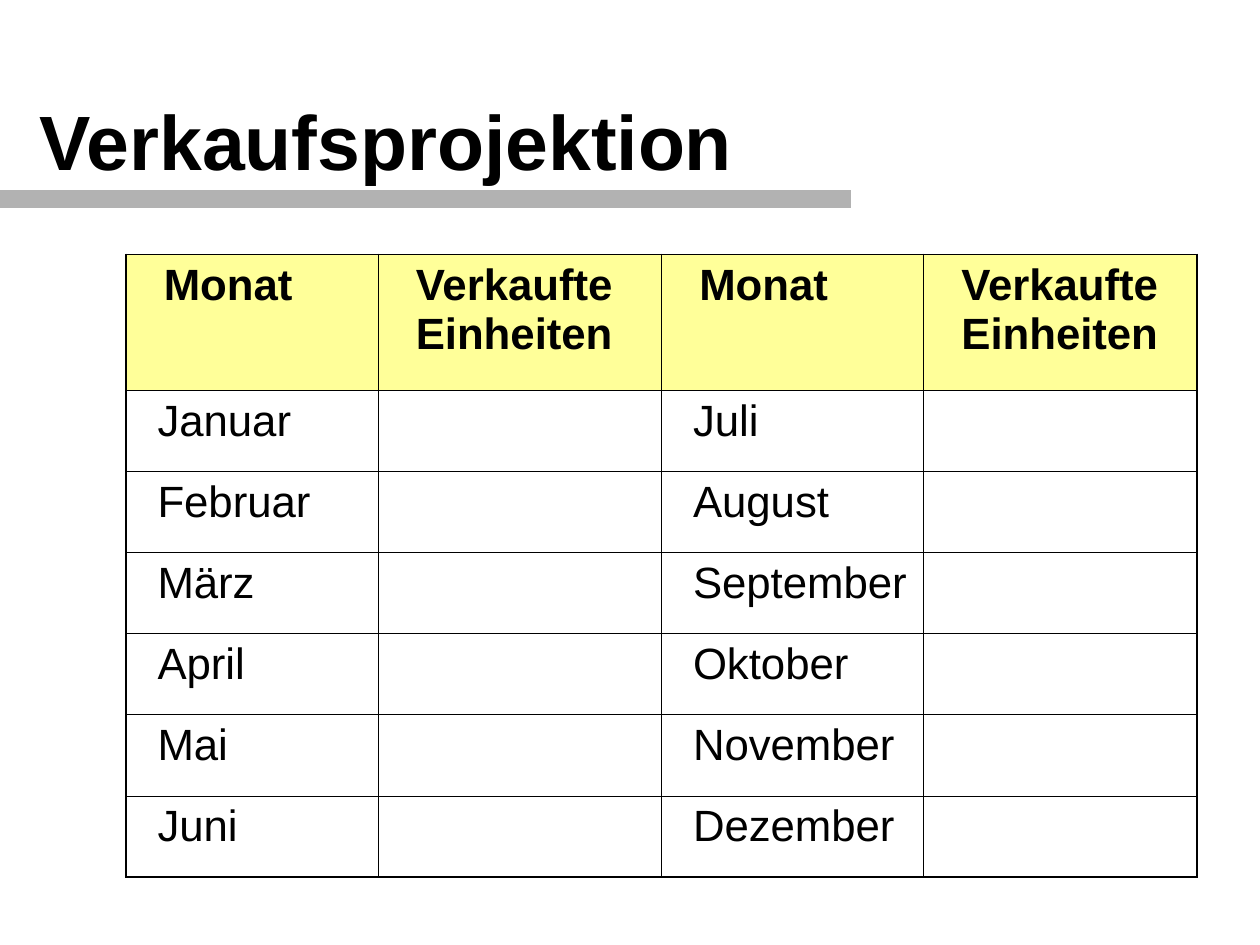
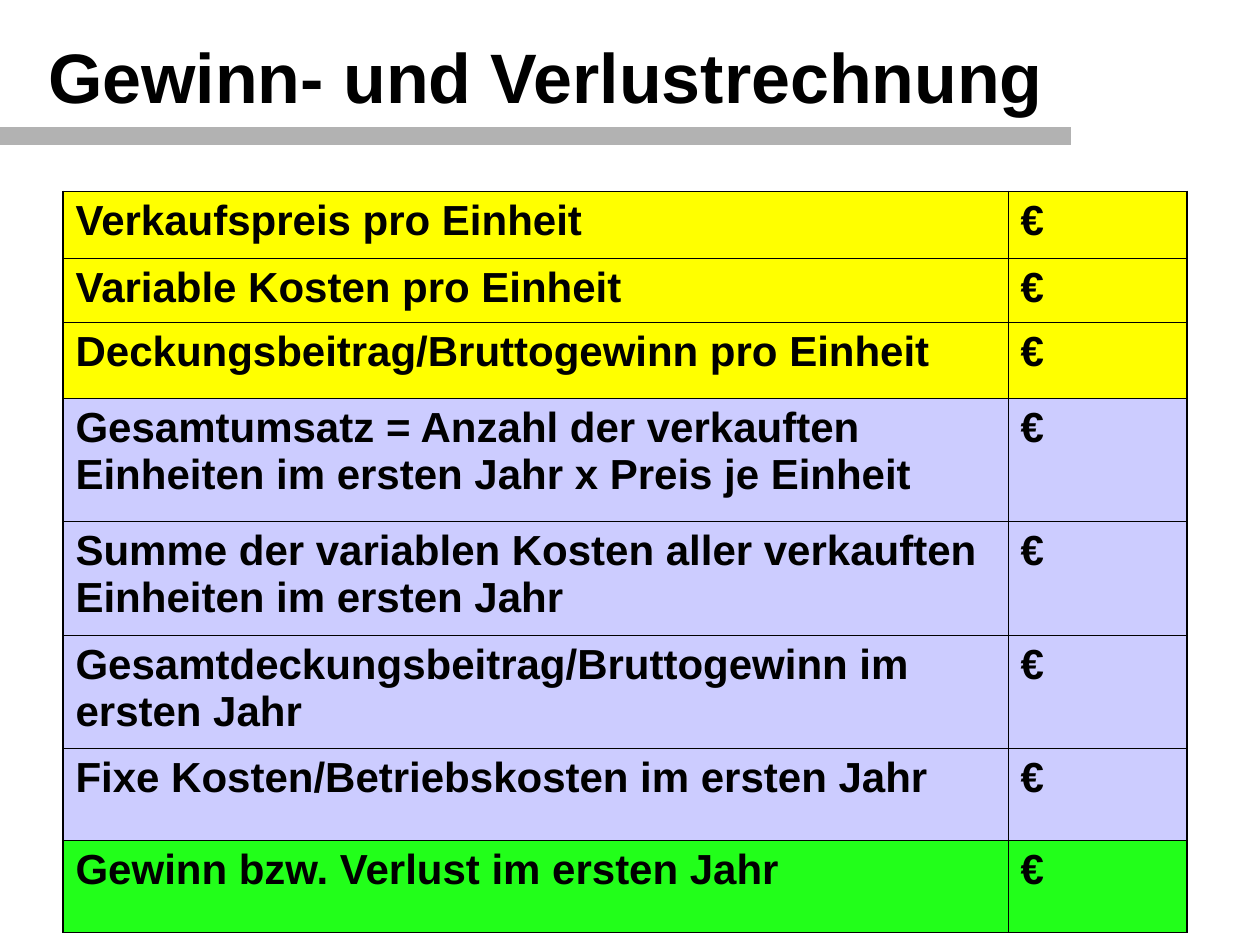
"""Builds the sales projection and the profit and loss slides."""
from dataclasses import dataclass
from typing import Optional

from lxml.etree import SubElement
from pptx import Presentation
from pptx.dml.color import RGBColor
from pptx.enum.shapes import MSO_CONNECTOR
from pptx.enum.text import MSO_ANCHOR, PP_ALIGN
from pptx.oxml.ns import qn
from pptx.util import Inches, Pt

FONT = "Arial"
BLACK = RGBColor(0x00, 0x00, 0x00)
GREY = RGBColor(0xB2, 0xB2, 0xB2)
CREAM = RGBColor(0xFF, 0xFF, 0x99)
YELLOW = RGBColor(0xFF, 0xFF, 0x00)
LILAC = RGBColor(0xCC, 0xCC, 0xFF)
GREEN = RGBColor(0x22, 0xFF, 0x1A)
OUTER, INNER = Pt(1.08), Pt(0.45)

MONTHS = ["Januar", "Februar", "März", "April", "Mai", "Juni",
          "Juli", "August", "September", "Oktober", "November", "Dezember"]


@dataclass
class Title:
    text: str
    left: float
    top: float
    height: float
    size: int
    rule_y: float
    rule_end: float
    space_size: Optional[int] = None


@dataclass
class Row:
    texts: list[str]
    height: float
    fill: Optional[RGBColor] = None
    bold: bool = True
    indent: float = 0.1


@dataclass
class Grid:
    left: float
    top: float
    widths: list[float]
    size: int
    rows: list[Row]


def add_run(p, text: str, size: int, bold: bool = True) -> None:
    """Append a black run to a paragraph."""
    r = p.add_run()
    r.text = text
    formats = {"name": FONT, "size": Pt(size), "bold": bold}
    for name, value in formats.items():
        setattr(r.font, name, value)
    r.font.color.rgb = BLACK


def add_title(s, title: Title) -> None:
    """Draw the centred heading and the grey rule below it."""
    box = s.shapes.add_textbox(Inches(title.left), Inches(title.top),
                               Inches(8.5), Inches(title.height))
    tf = box.text_frame
    formats = {"word_wrap": True, "vertical_anchor": MSO_ANCHOR.MIDDLE,
               "margin_top": Inches(0.15), "margin_bottom": Inches(0.05)}
    for name, value in formats.items():
        setattr(tf, name, value)
    p = tf.paragraphs[0]
    p.alignment = PP_ALIGN.CENTER
    add_run(p, title.text, title.size)
    if title.space_size:
        add_run(p, " ", title.space_size)

    y = Inches(title.rule_y)
    rule = s.shapes.add_connector(MSO_CONNECTOR.STRAIGHT, 0, y, Inches(title.rule_end), y)
    rule.line.color.rgb = GREY
    rule.line.width = Pt(10)
    SubElement(rule._element.spPr, qn("a:effectLst"))


def set_borders(cell, edges: dict[str, bool]) -> None:
    """Draw the four cell borders, heavier on the table's outer edges."""
    tc_pr = cell._tc.get_or_add_tcPr()
    for side, is_outer in edges.items():
        ln = SubElement(tc_pr, qn(f"a:ln{side}"), w=str(OUTER if is_outer else INNER))
        fill = SubElement(ln, qn("a:solidFill"))
        SubElement(fill, qn("a:srgbClr"), val=str(BLACK))


def add_grid(s, grid: Grid) -> None:
    """Draw a bordered table."""
    n_rows, n_cols = len(grid.rows), len(grid.widths)
    frame = s.shapes.add_table(n_rows, n_cols, Inches(grid.left), Inches(grid.top),
                               Inches(sum(grid.widths)),
                               Inches(sum(row.height for row in grid.rows)))
    table = frame.table
    table.first_row = table.horz_banding = False
    for column, width in zip(table.columns, grid.widths):
        column.width = Inches(width)
    for i, row in enumerate(grid.rows):
        table.rows[i].height = Inches(row.height)
        for j, text in enumerate(row.texts):
            cell = table.cell(i, j)
            set_borders(cell, {"L": j == 0, "R": j == n_cols - 1,
                               "T": i == 0, "B": i == n_rows - 1})
            if row.fill is None:
                cell.fill.background()
            else:
                cell.fill.solid()
                cell.fill.fore_color.rgb = row.fill
            cell.margin_left = Inches(row.indent)
            if text:
                add_run(cell.text_frame.paragraphs[0], text, grid.size, row.bold)


def projection_rows() -> list[Row]:
    """Pair each month of the first half-year with one of the second."""
    header = Row(["Monat", "Verkaufte Einheiten"] * 2, 1.08, CREAM, indent=0.3)
    height = (4.94 - header.height) / 6
    return [header] + [Row([first, "", second, ""], height, bold=False, indent=0.25)
                       for first, second in zip(MONTHS[:6], MONTHS[6:])]


def result_rows() -> list[Row]:
    """List the items of the profit and loss account."""
    items = [
        ("Verkaufspreis pro Einheit", 0.53, YELLOW),
        ("Variable Kosten pro Einheit", 0.51, YELLOW),
        ("Deckungsbeitrag/Bruttogewinn pro Einheit", 0.6, YELLOW),
        ("Gesamtumsatz = Anzahl der verkauften Einheiten im ersten Jahr "
         "x Preis je Einheit", 0.98, LILAC),
        ("Summe der variablen Kosten aller verkauften Einheiten im ersten Jahr", 0.9, LILAC),
        ("Gesamtdeckungsbeitrag/Bruttogewinn im ersten Jahr", 0.9, LILAC),
        ("Fixe Kosten/Betriebskosten im ersten Jahr", 0.73, LILAC),
        ("Gewinn bzw. Verlust im ersten Jahr", 0.73, GREEN),
    ]
    return [Row([text, "€"], height, fill) for text, height, fill in items]


def main() -> None:
    """Build and save the presentation."""
    prs = Presentation()
    prs.slide_width, prs.slide_height = Inches(10), Inches(7.5)
    slides = [
        (Title("Verkaufsprojektion", -1.08, 0.25, 1.5, 44, 1.58, 6.75, space_size=54),
         Grid(1, 2.02, [2, 2.25, 2.08, 2.17], 25, projection_rows())),
        (Title("Gewinn- und Verlustrechnung", 0.08, -0.08, 1.25, 40, 1.08, 8.5),
         Grid(0.5, 1.52, [7.5, 1.42], 24, result_rows())),
    ]
    for title, grid in slides:
        s = prs.slides.add_slide(prs.slide_layouts[6])
        add_title(s, title)
        add_grid(s, grid)
    prs.save("out.pptx")


if __name__ == "__main__":
    main()
